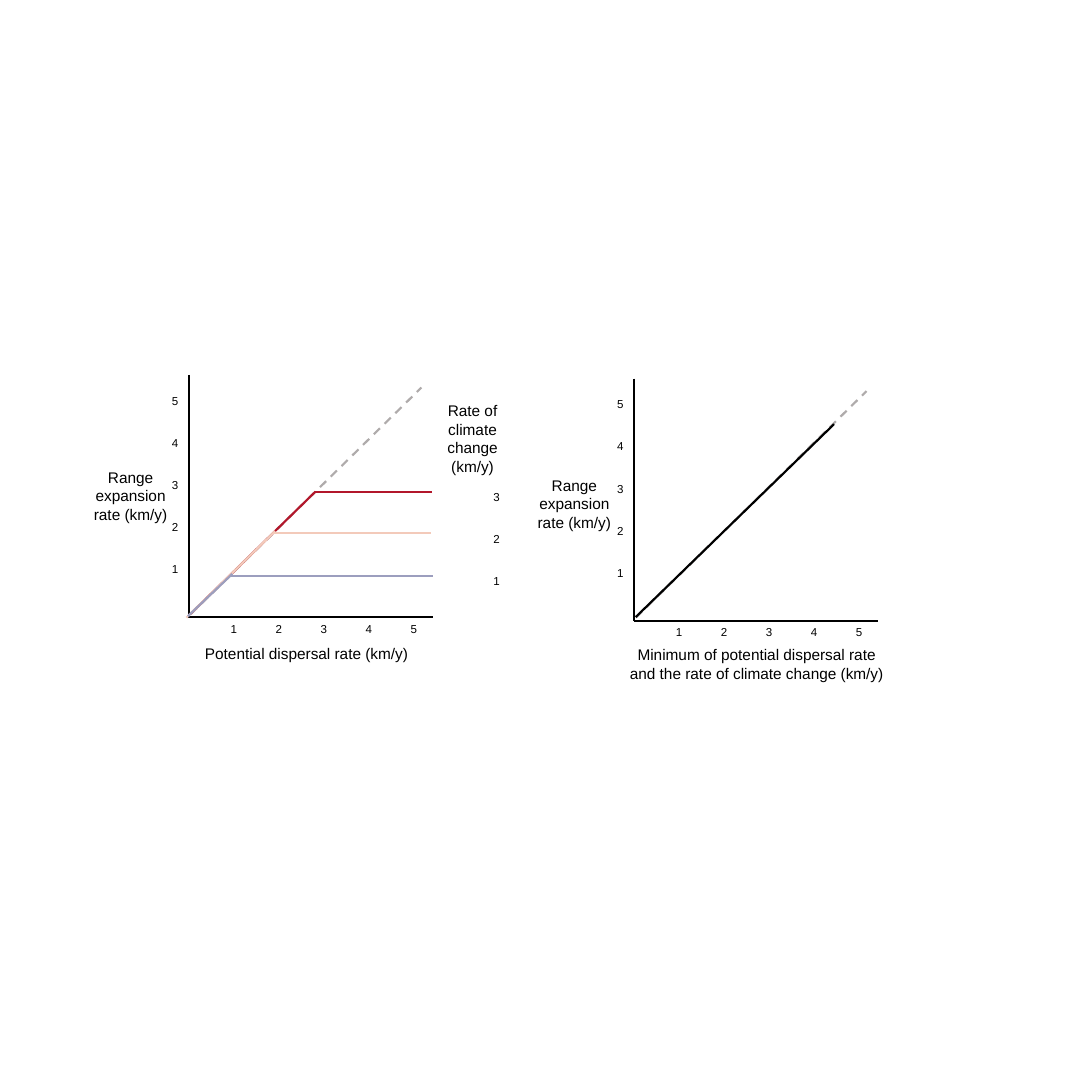
from pptx import Presentation
from pptx.dml.color import RGBColor
from pptx.enum.dml import MSO_LINE
from pptx.enum.shapes import MSO_CONNECTOR
from pptx.enum.text import PP_ALIGN
from pptx.oxml.ns import qn
from pptx.util import Cm, Pt
from lxml import etree

STRAIGHT = MSO_CONNECTOR.STRAIGHT
DASH = MSO_LINE.DASH
CENTER = PP_ALIGN.CENTER
LEFT = PP_ALIGN.LEFT

COLORS = {"ink": "000000", "dash": "AFABAB", "red": "B2172B",
          "peach": "F3CABA", "lilac": "9C9EBE"}
FONT = "Arial"
LABEL_SIZE, TICK_SIZE = 16, 12
TICK_STEP = 1.65     # cm between numbers on the horizontal axis
TICK_GAP = Pt(29.4)  # space between numbers on the vertical axis

# Colour, diagonal start, diagonal end, plateau start, plateau right end
CURVES = [
    ("red", (6.99, 22.48), (11.56, 18.01), (11.53, 18.03), 15.82),
    ("peach", (6.83, 22.63), (10.08, 19.46), (10.03, 19.53), 15.8),
    ("lilac", (6.88, 22.58), (8.51, 21.03), (8.48, 21.11), 15.88),
]


def add_line(page, start, end, color="ink", dashed=False):
    line = page.shapes.add_connector(STRAIGHT, *map(Cm, start + end))
    line.line.color.rgb = RGBColor.from_string(COLORS[color])
    line.line.width = Pt(2.25)
    if dashed:
        line.line.dash_style = DASH
    etree.SubElement(line._element.spPr, qn("a:effectLst"))


def add_text(page, area, lines, size=LABEL_SIZE, align=CENTER, wrap=True, gap=0):
    box = page.shapes.add_textbox(*map(Cm, area))
    frame = box.text_frame
    frame.word_wrap = wrap
    for index, line in enumerate(lines):
        para = frame.add_paragraph() if index else frame.paragraphs[0]
        para.alignment = align
        if index:
            para.space_before = gap
        span = para.add_run()
        span.text = line
        span.font.name = FONT
        span.font.size = Pt(size)
        span.font.color.rgb = RGBColor.from_string(COLORS["ink"])
    return box


def add_column_ticks(page, left, top, highest):
    numbers = [str(value) for value in range(highest, 0, -1)]
    height = 0.74 + 1.52 * (highest - 1)
    add_text(page, (left, top, 0.74, height), numbers, TICK_SIZE, LEFT, False, TICK_GAP)


def add_row_ticks(page, left, top):
    numbers = "\t".join(str(value) for value in range(1, 6))
    box = add_text(page, (left, top, 8.03, 0.76), [numbers], TICK_SIZE, LEFT)
    properties = box.text_frame.paragraphs[0]._p.get_or_add_pPr()
    tabs = etree.SubElement(properties, qn("a:tabLst"))
    for step in range(1, 5):
        etree.SubElement(tabs, qn("a:tab"), pos=str(Cm(TICK_STEP * step)), algn="l")


def add_axes(page, x, y):
    """Draw the axes, numbers and dashed diagonal from the origin (x, y)."""
    add_line(page, (x, y - 8.89), (x, y))
    add_line(page, (x + 8.94, y - 0.02), (x + 0.02, y - 0.02))
    add_line(page, (x + 0.08, y - 0.13), (x + 8.53, y - 8.43), "dash", True)
    add_column_ticks(page, x - 0.86, y - 8.33, 5)
    add_row_ticks(page, x + 1.29, y + 0.03)


def add_range_label(page, left, top):
    add_text(page, (left, top, 3.43, 2.31), ["Range expansion rate (km/y)"])


def main():
    deck = Presentation()
    deck.slide_width = deck.slide_height = Cm(40.01)
    page = deck.slides.add_slide(deck.slide_layouts[6])

    # Left graph: one curve for each rate of climate change
    add_axes(page, 6.91, 22.63)
    for color, start, bend, plateau, right in CURVES:
        add_line(page, start, bend, color)
        add_line(page, plateau, (right, plateau[1]), color)
    add_range_label(page, 3.07, 17.02)
    add_text(page, (7.26, 23.47, 8.05, 0.94), ["Potential dispersal rate (km/y)"],
             align=LEFT, wrap=False)

    # Key to the curves
    add_text(page, (15.7, 14.58, 3.23, 3), ["Rate of climate change (km/y)"])
    add_column_ticks(page, 17.83, 17.81, 3)

    # Right graph: a single curve
    add_axes(page, 23.22, 22.76)
    add_line(page, (23.29, 22.61), (30.56, 15.54))
    add_range_label(page, 19.33, 17.32)
    add_text(page, (22.76, 23.52, 9.93, 1.63),
             ["Minimum of potential dispersal rate",
              "and the rate of climate change (km/y)"], wrap=False)

    deck.save("out.pptx")


if __name__ == "__main__":
    main()
